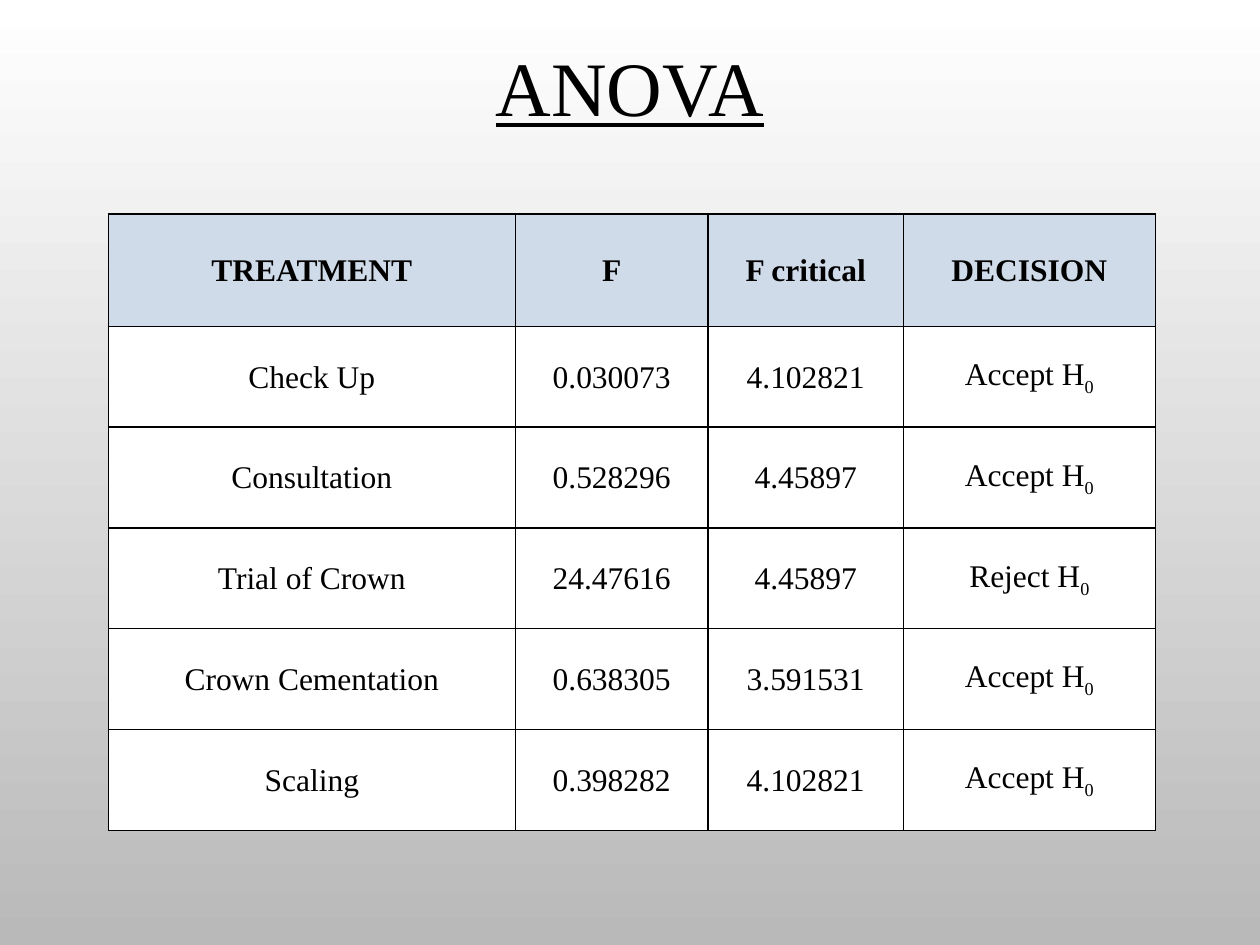
import dataclasses

import pptx
import pptx.dml.color
import pptx.enum.text
import pptx.oxml
import pptx.oxml.ns
import pptx.util

Inches = pptx.util.Inches
Pt = pptx.util.Pt


@dataclasses.dataclass(frozen=True)
class Theme:
    font: str = "Times New Roman"
    ink: str = "000000"
    head: str = "D0DBE9"
    body: str = "FFFFFF"
    top: str = "FFFFFF"
    base: str = "B9B9B9"
    title: int = 44
    cell: int = 18
    rule: int = 1


THEME = Theme()

HEADS = ["TREATMENT", "F", "F critical", "DECISION"]
# Treatment, F, F critical, verdict on the null hypothesis
TESTS = [
    ("Check Up", "0.030073", "4.102821", "Accept"),
    ("Consultation", "0.528296", "4.45897", "Accept"),
    ("Trial of Crown", "24.47616", "4.45897", "Reject"),
    ("Crown Cementation", "0.638305", "3.591531", "Accept"),
    ("Scaling", "0.398282", "4.102821", "Accept"),
]
WIDTHS = [3.23, 1.53, 1.55, 2]
HEIGHTS = [0.89] + [0.8] * len(TESTS)


def color(code):
    return pptx.dml.color.RGBColor.from_string(code)


def write(frame, text, size=THEME.cell, bold=False, line=False, sub=""):
    """Write centred text, with an optional subscript after it."""
    frame.word_wrap = True
    frame.vertical_anchor = pptx.enum.text.MSO_ANCHOR.MIDDLE
    para = frame.paragraphs[0]
    para.alignment = pptx.enum.text.PP_ALIGN.CENTER
    for part in filter(None, (text, sub)):
        run = para.add_run()
        run.text = part
        font = run.font
        font.name, font.size = THEME.font, Pt(size)
        font.bold, font.underline = bold, line
        font.color.rgb = color(THEME.ink)
    if sub:
        run.font._element.set("baseline", "-25000")


def border(cell):
    """Rule all four sides; the lines must precede the fill."""
    props = cell._tc.get_or_add_tcPr()
    for spot, side in enumerate("LRTB"):
        props.insert(spot, pptx.oxml.parse_xml(
            f'<a:ln{side} {pptx.oxml.ns.nsdecls("a")} w="{Pt(THEME.rule)}">'
            f'<a:solidFill><a:srgbClr val="{THEME.ink}"/></a:solidFill>'
            f'</a:ln{side}>'))


def style(cell, fill):
    cell.margin_left = cell.margin_right = cell.margin_top = Inches(0.01)
    cell.margin_bottom = 0
    cell.fill.solid()
    cell.fill.fore_color.rgb = color(fill)
    border(cell)


def shade(slide):
    fill = slide.background.fill
    fill.gradient()
    fill.gradient_angle = 270
    for stop, code in zip(fill.gradient_stops, (THEME.top, THEME.base)):
        stop.color.rgb = color(code)


def title(slide, text):
    box = slide.shapes.add_textbox(
        Inches(0.5), Inches(0.13), Inches(9), Inches(1.1))
    write(box.text_frame, text, size=THEME.title, line=True)


def grid(slide):
    table = slide.shapes.add_table(
        len(HEIGHTS), len(WIDTHS), Inches(0.86), Inches(1.7),
        Inches(sum(WIDTHS)), Inches(sum(HEIGHTS))).table
    for col, width in zip(table.columns, WIDTHS):
        col.width = Inches(width)
    for row, height in zip(table.rows, HEIGHTS):
        row.height = Inches(height)

    # Header row
    for cell, text in zip(table.rows[0].cells, HEADS):
        style(cell, THEME.head)
        write(cell.text_frame, text, bold=True)
        cell.vertical_anchor = pptx.enum.text.MSO_ANCHOR.MIDDLE

    # One row per test
    for index, (*facts, verdict) in enumerate(TESTS, 1):
        cells = list(table.rows[index].cells)
        for cell in cells:
            style(cell, THEME.body)
            cell.vertical_anchor = pptx.enum.text.MSO_ANCHOR.MIDDLE
        for cell, text in zip(cells, facts):
            write(cell.text_frame, text)
        write(cells[-1].text_frame, f"{verdict} H", sub="0")


def main():
    deck = pptx.Presentation()
    deck.slide_width, deck.slide_height = Inches(10), Inches(7.5)
    slide = deck.slides.add_slide(deck.slide_layouts[6])
    shade(slide)
    title(slide, "ANOVA")
    grid(slide)
    deck.save("out.pptx")


if __name__ == "__main__":
    main()
